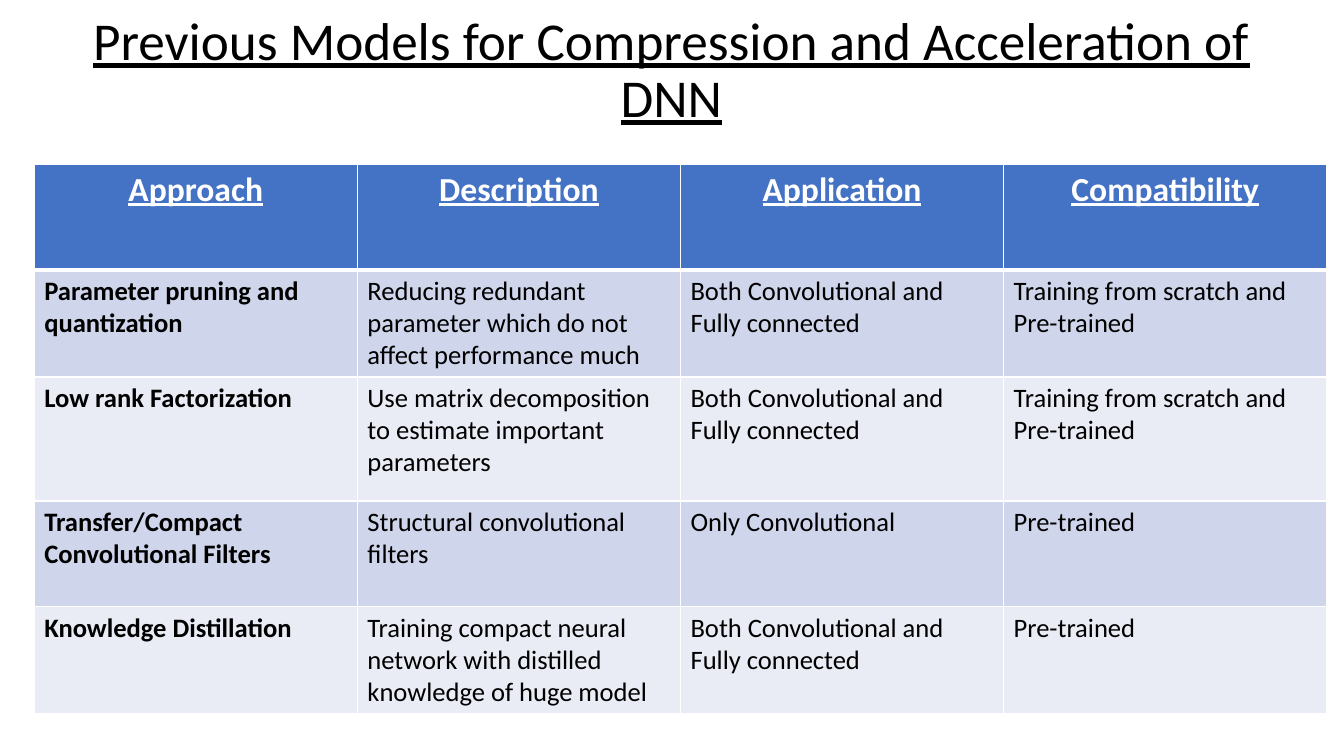
from dataclasses import dataclass

from lxml.etree import SubElement
from pptx import Presentation
from pptx.dml.color import RGBColor as RGB
from pptx.enum.text import MSO_ANCHOR as ANCHOR, MSO_AUTO_SIZE as AUTOSIZE, PP_ALIGN as ALIGN
from pptx.oxml.ns import qn
from pptx.util import Inches, Pt


@dataclass(frozen=True)
class Theme:
    font: str = "Calibri"
    ink: str = "000000"
    paper: str = "FFFFFF"
    header: str = "4472C4"
    bands: tuple = ("CFD5EA", "E9EBF5")
    title_size: int = 38
    header_size: int = 24
    body_size: int = 19
    rule: int = 1
    header_rule: int = 3


class SlideBuilder:
    """Draws styled elements, with lengths given as percent of the slide."""

    def __init__(self, prs, theme):
        self.prs, self.theme = prs, theme
        self.s = prs.slides.add_slide(prs.slide_layouts[5])

    def box(self, x, y, w, h):
        width, height = self.prs.slide_width, self.prs.slide_height
        return [int(share * side / 100)
                for share, side in ((x, width), (y, height), (w, width), (h, height))]

    def style(self, p, size, color, align, bold=False, underline=False):
        p.alignment = align
        for r in p.runs:
            font = r.font
            font.name, font.size = self.theme.font, Pt(size)
            font.bold, font.underline = bold, underline
            font.color.rgb = RGB.from_string(color)

    def title(self, text, *area):
        sp = self.s.shapes.title
        sp.left, sp.top, sp.width, sp.height = self.box(*area)
        tf = sp.text_frame
        tf.text = text
        tf.word_wrap, tf.auto_size = True, AUTOSIZE.NONE
        tf.vertical_anchor = ANCHOR.BOTTOM
        p = tf.paragraphs[0]
        p.line_spacing = 0.9
        self.style(p, self.theme.title_size, self.theme.ink, ALIGN.CENTER, underline=True)

    def borders(self, cell, bottom):
        rule = self.theme.rule
        tc_pr = cell._tc.get_or_add_tcPr()
        edges = (("a:lnL", rule), ("a:lnR", rule), ("a:lnT", rule), ("a:lnB", bottom))
        for i, (tag, width) in enumerate(edges):
            ln = SubElement(tc_pr, qn(tag), w=str(Pt(width)))
            fill = SubElement(ln, qn("a:solidFill"))
            SubElement(fill, qn("a:srgbClr"), val=self.theme.paper)
            tc_pr.insert(i, ln)

    def table(self, rows, heights, *area):
        t = self.theme
        table = self.s.shapes.add_table(len(rows), len(rows[0]), *self.box(*area)).table
        for row, height in zip(table.rows, heights):
            row.height = self.box(0, 0, 0, height)[3]
        for i, texts in enumerate(rows):
            is_header = i == 0
            for j, text in enumerate(texts):
                cell = table.cell(i, j)
                cell.text = text
                cell.fill.solid()
                fill = t.header if is_header else t.bands[(i - 1) % 2]
                cell.fill.fore_color.rgb = RGB.from_string(fill)
                self.borders(cell, t.header_rule if is_header else t.rule)
                p = cell.text_frame.paragraphs[0]
                if is_header:
                    self.style(p, t.header_size, t.paper, ALIGN.CENTER, True, True)
                else:
                    self.style(p, t.body_size, t.ink, ALIGN.LEFT, bold=j == 0)


BOTH_LAYERS = "Both Convolutional and Fully connected"
BOTH_TRAININGS = "Training from scratch and Pre-trained"
MODELS = [
    ("Approach", "Description", "Application", "Compatibility"),
    ("Parameter pruning and quantization",
     "Reducing redundant parameter which do not affect performance much",
     BOTH_LAYERS, BOTH_TRAININGS),
    ("Low rank Factorization",
     "Use matrix decomposition to estimate important parameters",
     BOTH_LAYERS, BOTH_TRAININGS),
    ("Transfer/Compact Convolutional Filters",
     "Structural convolutional filters",
     "Only Convolutional", "Pre-trained"),
    ("Knowledge Distillation",
     "Training compact neural network with distilled knowledge of huge model",
     BOTH_LAYERS, "Pre-trained"),
]


def main():
    prs = Presentation()
    prs.slide_width, prs.slide_height = Inches(13.33), Inches(7.5)
    slide = SlideBuilder(prs, Theme())
    slide.title("Previous Models for Compression and Acceleration of DNN",
                2.55, 3.47, 94.82, 14.27)
    slide.table(MODELS, (14, 14, 16.4, 14, 14), 2.55, 21.73, 96.17, 72.4)
    prs.save("out.pptx")


if __name__ == "__main__":
    main()
